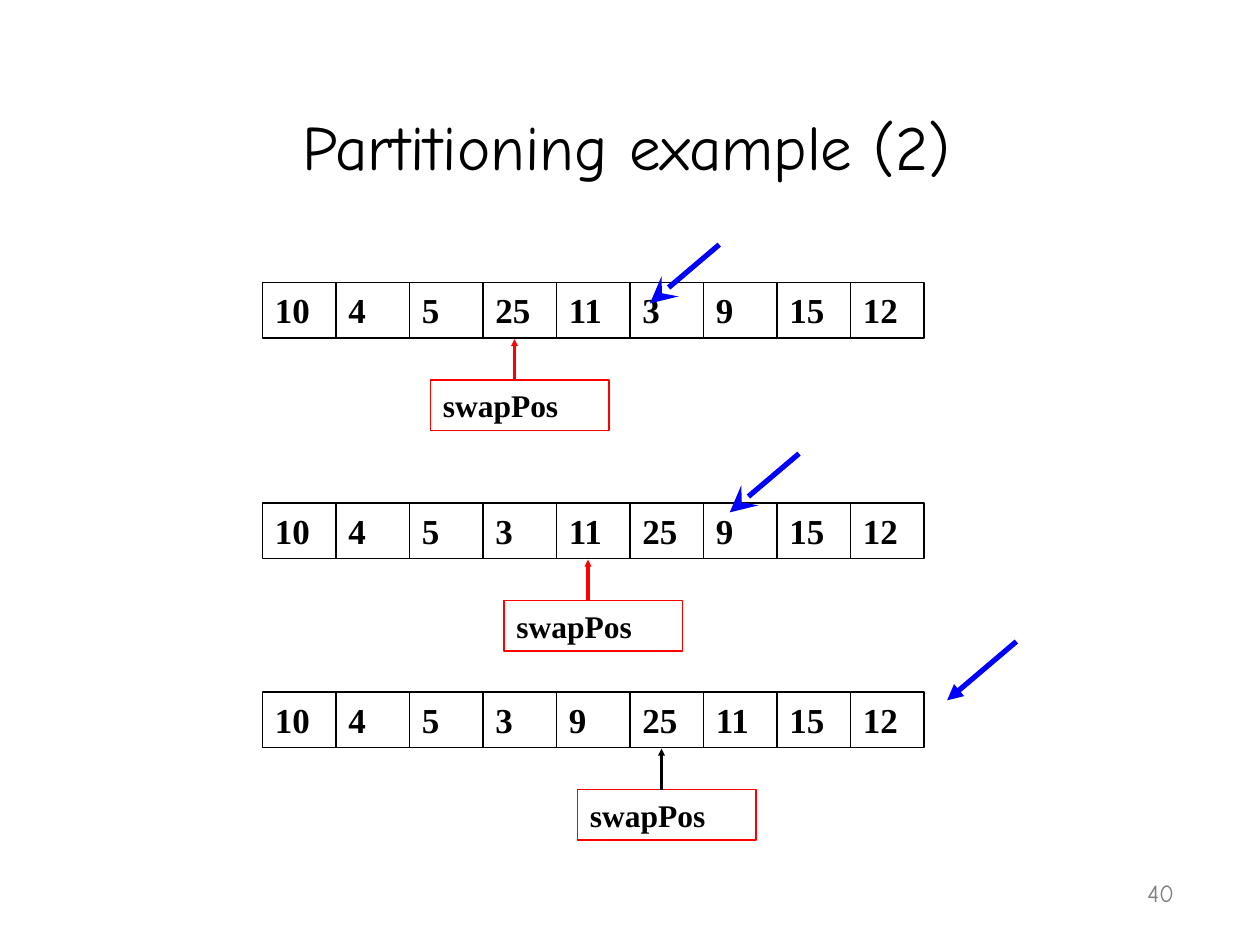
from dataclasses import dataclass

from lxml.etree import SubElement
from pptx import Presentation
from pptx.dml.color import RGBColor
from pptx.enum.shapes import MSO_CONNECTOR, MSO_SHAPE
from pptx.enum.text import MSO_ANCHOR, MSO_AUTO_SIZE, PP_ALIGN
from pptx.oxml.ns import qn
from pptx.shapes.shapetree import GroupShapes, SlideShapes
from pptx.text.text import TextFrame
from pptx.util import Emu, Pt

PX = 7620  # EMU per px, 120 px to the inch
COLORS = {"ink": "000000", "marker": "FF0000", "scan": "0000FF", "muted": "808080"}
HEADING_FONT, ARRAY_FONT = "Comic Neue", "Times New Roman"

# Array grid and the offsets of its pointers
ARRAY_LEFT, CELL_W, CELL_H = 250, 70, 53
LABEL_W, LABEL_H, LABEL_DX, LABEL_DY = 170, 48, -50, 93
POINTER_DX, POINTER_TIP_DY = 30, 54
SCAN_DX, SCAN_DY = 66, 56


@dataclass(frozen=True)
class Step:
    top: int
    values: tuple[int, ...]
    swap_index: int
    pointer_color: str
    scan_tip: tuple[int, int]
    scan_head: str
    scan_head_size: str


STEPS = (
    Step(269, (10, 4, 5, 25, 11, 3, 9, 15, 12), 3, "marker", (619, 289), "stealth", "lg"),
    Step(479, (10, 4, 5, 3, 11, 25, 9, 15, 12), 4, "marker", (695, 488), "stealth", "lg"),
    Step(659, (10, 4, 5, 3, 9, 25, 11, 15, 12), 5, "ink", (902, 667), "triangle", "med"),
)


def px(length: int) -> Emu:
    return Emu(length * PX)


def rgb(name: str) -> RGBColor:
    return RGBColor.from_string(COLORS[name])


def write(frame: TextFrame, text: str, font: str, size: int, color: str = "ink",
          align: PP_ALIGN = PP_ALIGN.LEFT, bold: bool = False) -> None:
    frame.word_wrap = True
    paragraph = frame.paragraphs[0]
    paragraph.alignment = align
    run = paragraph.add_run()
    run.text = text
    run.font.name, run.font.size, run.font.bold = font, Pt(size), bold
    run.font.color.rgb = rgb(color)


def add_box(shapes: SlideShapes | GroupShapes, left: int, top: int, width: int,
            height: int, text: str, size: int, border: str) -> None:
    box = shapes.add_shape(MSO_SHAPE.RECTANGLE, px(left), px(top), px(width), px(height))
    box.shadow.inherit = False
    box.fill.background()
    box.line.color.rgb = rgb(border)
    box.line.width = Pt(1)
    box.text_frame.vertical_anchor = MSO_ANCHOR.TOP
    box.text_frame.auto_size = MSO_AUTO_SIZE.SHAPE_TO_FIT_TEXT
    write(box.text_frame, text, ARRAY_FONT, size, bold=True)


def add_arrow(shapes: SlideShapes | GroupShapes, start: tuple[int, int],
              tip: tuple[int, int], color: str, weight: int, head: str,
              head_size: str) -> None:
    arrow = shapes.add_connector(MSO_CONNECTOR.STRAIGHT, *map(px, start + tip))
    arrow.line.color.rgb = rgb(color)
    arrow.line.width = Pt(weight)
    SubElement(arrow.line._get_or_add_ln(), qn("a:tailEnd"),
               type=head, w=head_size, len=head_size)
    SubElement(arrow._element.spPr, qn("a:effectLst"))


def add_array(shapes: SlideShapes, step: Step) -> None:
    # Cells
    for index, value in enumerate(step.values):
        add_box(shapes, ARRAY_LEFT + index * CELL_W, step.top, CELL_W, CELL_H,
                str(value), 20, "ink")
    # Swap position label with its pointer
    swap_left = ARRAY_LEFT + step.swap_index * CELL_W
    label_top = step.top + LABEL_DY
    pointer_x = swap_left + POINTER_DX
    marker = shapes.add_group_shape().shapes
    add_box(marker, swap_left + LABEL_DX, label_top, LABEL_W, LABEL_H,
            "swapPos", 18, "marker")
    add_arrow(marker, (pointer_x, label_top), (pointer_x, step.top + POINTER_TIP_DY),
              step.pointer_color, 2, "triangle", "sm")


def add_scan_arrow(shapes: SlideShapes, step: Step) -> None:
    x, y = step.scan_tip
    add_arrow(shapes, (x + SCAN_DX, y - SCAN_DY), step.scan_tip, "scan", 3,
              step.scan_head, step.scan_head_size)


def main() -> None:
    deck = Presentation()
    deck.slide_width, deck.slide_height = px(1200), px(900)
    slide = deck.slides.add_slide(deck.slide_layouts[5])

    # Title
    title = slide.shapes.title
    title.left, title.top, title.width, title.height = map(px, (53, 30, 1087, 150))
    title.text_frame.auto_size = MSO_AUTO_SIZE.NONE
    title.text_frame.vertical_anchor = MSO_ANCHOR.BOTTOM
    write(title.text_frame, "Partitioning example (2)", HEADING_FONT, 36,
          align=PP_ALIGN.CENTER)

    # Page number
    page_number = slide.shapes.add_textbox(*map(px, (880, 810, 250, 60)))
    page_number.text_frame.vertical_anchor = MSO_ANCHOR.BOTTOM
    write(page_number.text_frame, "40", HEADING_FONT, 14, "muted", PP_ALIGN.RIGHT)

    # Partitioning steps, with the scan arrows on top
    for step in STEPS:
        add_array(slide.shapes, step)
    for step in STEPS:
        add_scan_arrow(slide.shapes, step)

    deck.save("out.pptx")


if __name__ == "__main__":
    main()
